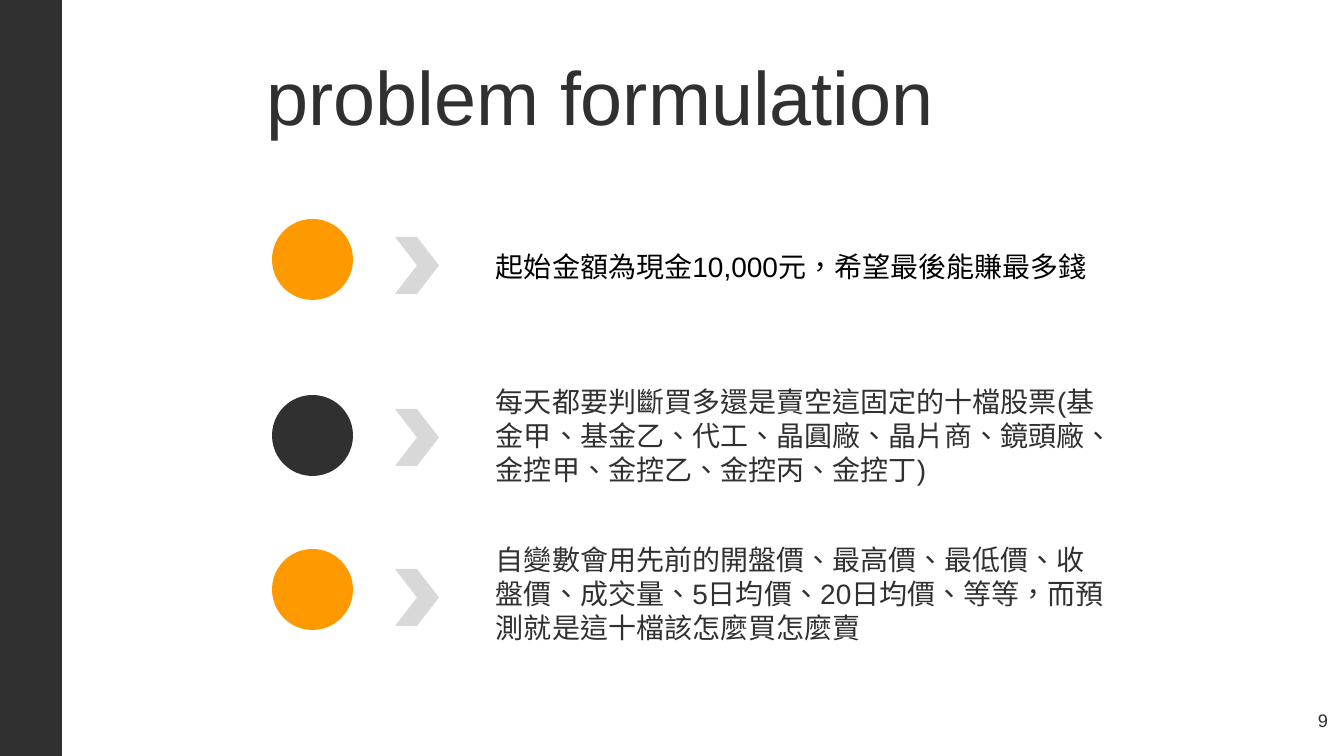
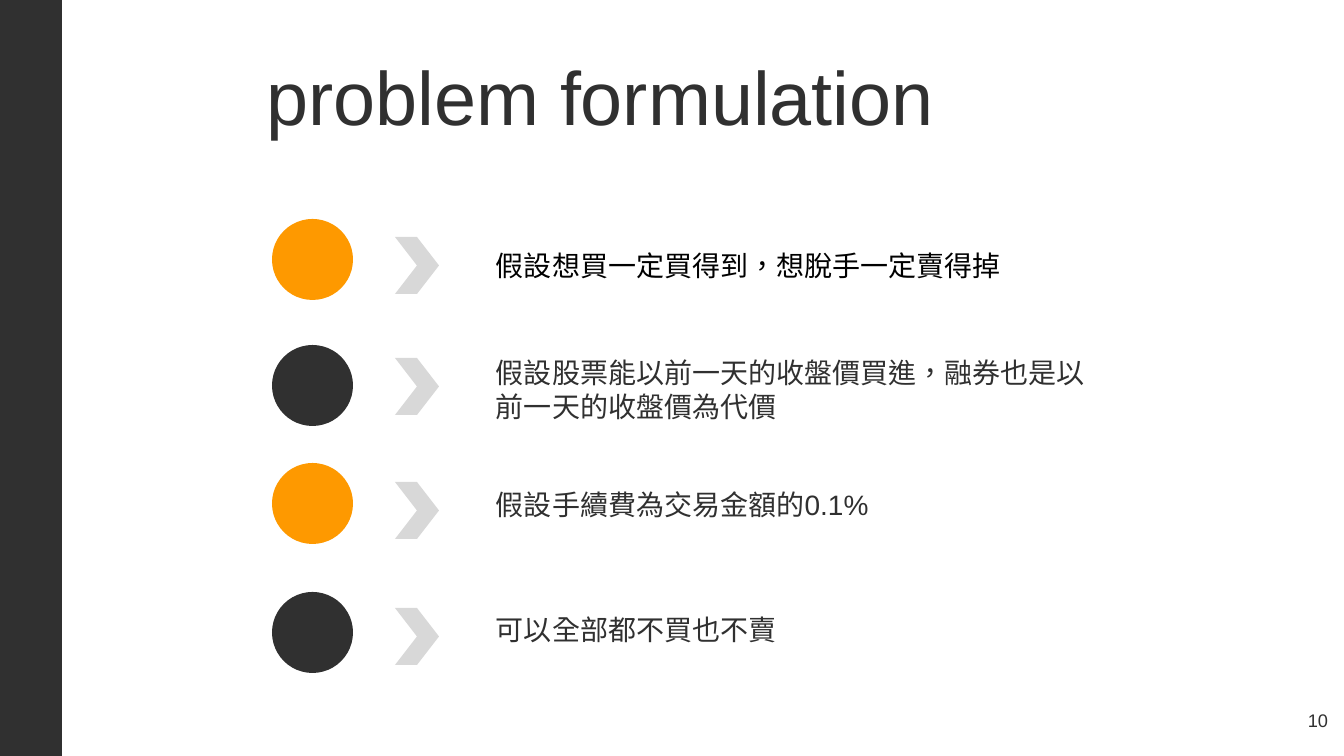
from pptx import Presentation
from pptx import util as u
from pptx.dml.color import RGBColor
from pptx.enum import lang, shapes, text

EMU_PER_PX = 914400 / 100.8
WIDTH, HEIGHT = 1344, 756
FONT = "Arial"
DARK = RGBColor(0x30, 0x30, 0x30)
ORANGE = RGBColor(0xFE, 0x99, 0x00)
GREY = RGBColor(0xD8, 0xD8, 0xD8)
BLACK = RGBColor(0, 0, 0)

# Columns shared by every row
CIRCLE_X, CIRCLE_SIZE = 272, 81
CHEVRON_X, CHEVRON_W, CHEVRON_H = 395, 44, 57
TEXT_X, TEXT_W, TEXT_H = 486, 630, 30

# Slides: number, rows of (circle top, chevron top, text top, text)
SLIDES = [
    (9, [
        (219, 237, 245, "起始金額為現金10,000元，希望最後能賺最多錢"),
        (395, 409, 380, "每天都要判斷買多還是賣空這固定的十檔股票"
                        "(基金甲、基金乙、代工、晶圓廠、晶片商、鏡頭廠、"
                        "金控甲、金控乙、金控丙、金控丁)"),
        (549, 569, 538, "自變數會用先前的開盤價、最高價、最低價、收盤價、成交量、"
                        "5日均價、20日均價、等等，而預測就是這十檔該怎麼買怎麼賣"),
    ]),
    (10, [
        (219, 237, 244, "假設想買一定買得到，想脫手一定賣得掉"),
        (345, 358, 351, "假設股票能以前一天的收盤價買進，"
                        "融券也是以前一天的收盤價為代價"),
        (463, 482, 483, "假設手續費為交易金額的0.1%"),
        (592, 608, 608, "可以全部都不買也不賣"),
    ]),
]


def px(n):
    return u.Emu(round(n * EMU_PER_PX))


def write(tf, content, size=20, color=DARK, align=text.PP_ALIGN.LEFT,
          anchor=text.MSO_ANCHOR.TOP, inset_y=5, spacing=None, language=None):
    """Fill a text frame with one formatted paragraph."""
    tf.word_wrap = True
    tf.auto_size = text.MSO_AUTO_SIZE.NONE
    tf.vertical_anchor = anchor
    tf.margin_left = tf.margin_right = px(10)
    tf.margin_top = tf.margin_bottom = px(inset_y)
    p = tf.paragraphs[0]
    p.alignment = align
    p.line_spacing = spacing
    r = p.add_run()
    r.text = content
    r.font.name, r.font.size = FONT, u.Pt(size)
    r.font.color.rgb = color
    if language:
        r.font.language_id = language


class Deck:
    """Holds the style, the presentation and the current slide."""

    def __init__(self):
        self.prs = Presentation()
        self.prs.slide_width, self.prs.slide_height = px(WIDTH), px(HEIGHT)
        self.layout = self.prs.slide_layouts.get_by_name("Title Only")
        self.s = None

    def new_slide(self):
        self.s = self.prs.slides.add_slide(self.layout)

    def shape(self, kind, x, y, w, h, color):
        sp = self.s.shapes.add_shape(kind, px(x), px(y), px(w), px(h))
        sp.shadow.inherit = False
        sp.fill.solid()
        sp.fill.fore_color.rgb = color
        sp.line.fill.background()
        return sp

    def side_band(self):
        """Draw the band once and move it to the shared layout."""
        band = self.shape(shapes.MSO_SHAPE.RECTANGLE, 0, 0, 62, HEIGHT, DARK)
        band.element.nvSpPr.cNvPr.set("id", "99")
        self.layout.shapes.element.insert(2, band.element)

    def title(self, content):
        sp = self.s.shapes.title
        sp.left, sp.top, sp.width, sp.height = px(256), px(61), px(1055), px(79)
        write(sp.text_frame, content, size=54, spacing=0.9,
              anchor=text.MSO_ANCHOR.MIDDLE)

    def text_box(self, x, y, w, h, content, **style):
        sp = self.s.shapes.add_textbox(px(x), px(y), px(w), px(h))
        write(sp.text_frame, content, **style)

    def row(self, index, circle_y, chevron_y, text_y, content):
        self.shape(shapes.MSO_SHAPE.OVAL, CIRCLE_X, circle_y,
                   CIRCLE_SIZE, CIRCLE_SIZE, DARK if index % 2 else ORANGE)
        self.shape(shapes.MSO_SHAPE.CHEVRON, CHEVRON_X, chevron_y,
                   CHEVRON_W, CHEVRON_H, GREY)
        self.text_box(TEXT_X, text_y, TEXT_W, TEXT_H, content,
                      color=DARK if index else BLACK,
                      language=lang.MSO_LANGUAGE_ID.TRADITIONAL_CHINESE)

    def page_number(self, number):
        self.text_box(1258, 699, 80, 57, str(number), size=13,
                      align=text.PP_ALIGN.RIGHT, inset_y=10)


def main():
    deck = Deck()
    for number, rows in SLIDES:
        deck.new_slide()
        if deck.s is not None and number == SLIDES[0][0]:
            deck.side_band()
        deck.title("problem formulation")
        for index, row in enumerate(rows):
            deck.row(index, *row)
        deck.page_number(number)
    deck.prs.save("out.pptx")


if __name__ == "__main__":
    main()
